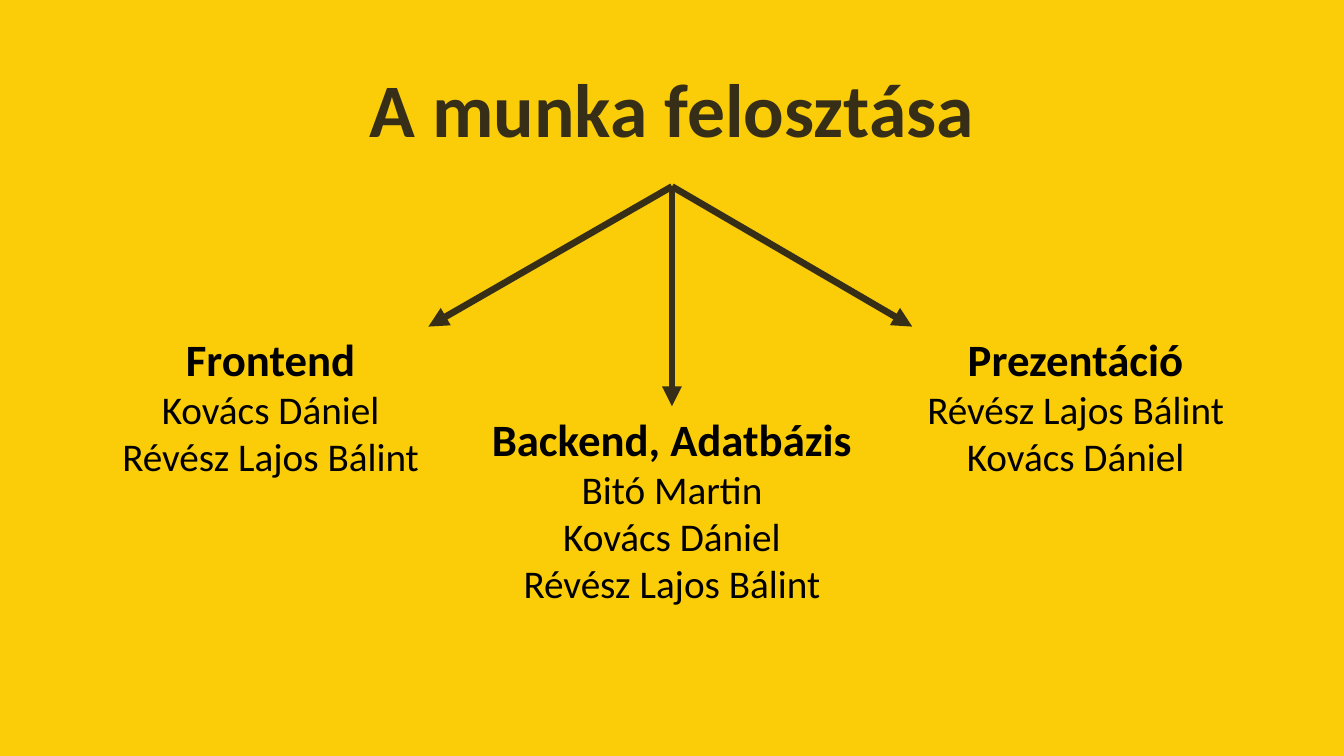
from lxml.etree import SubElement
from pptx import Presentation
from pptx.dml.color import RGBColor
from pptx.enum.shapes import MSO_CONNECTOR
from pptx.enum.text import MSO_ANCHOR, MSO_AUTO_SIZE, PP_ALIGN
from pptx.oxml.ns import qn
from pptx.util import Pt

COLORS = {"background": "FBCD08", "dark": "372E18", "text": "000000"}
FONT = "Calibri"
BOTTOM, TOP = 2, 0


def color(name):
    return RGBColor.from_string(COLORS[name])


def style_font(font, size, bold, color_name):
    font.name = FONT
    font.size = Pt(size)
    font.bold = bold
    font.color.rgb = color(color_name)


def set_title(page, text):
    title = page.shapes.title
    title.left, title.top, title.width, title.height = Pt(66), Pt(28.8), Pt(828), Pt(104.4)
    frame = title.text_frame
    frame.text = text
    frame.vertical_anchor = MSO_ANCHOR.MIDDLE
    para = frame.paragraphs[0]
    para.alignment = PP_ALIGN.CENTER
    para.line_spacing = 0.9
    style_font(para.font, 54, True, "dark")
    return title


def add_team(page, left, top, width, height, wrap, heading, members):
    box = page.shapes.add_textbox(Pt(left), Pt(top), Pt(width), Pt(height))
    frame = box.text_frame
    frame.word_wrap = wrap
    frame.auto_size = MSO_AUTO_SIZE.SHAPE_TO_FIT_TEXT
    para = frame.paragraphs[0]
    para.alignment = PP_ALIGN.CENTER
    span = para.add_run()
    span.text = heading
    style_font(span.font, 32, True, "text")
    para.add_line_break()
    span = para.add_run()
    span.text = members[0]
    style_font(span.font, 28, False, "text")
    for member in members[1:]:
        para = frame.add_paragraph()
        para.text = member
        para.alignment = PP_ALIGN.CENTER
        style_font(para.font, 28, False, "text")
    return box


def add_arrow(page, title, end_x, end_y):
    arrow = page.shapes.add_connector(
        MSO_CONNECTOR.STRAIGHT, Pt(480), Pt(133.2), Pt(end_x), Pt(end_y))
    arrow.begin_connect(title, BOTTOM)
    arrow.line.color.rgb = color("dark")
    arrow.line.width = Pt(4.75)
    SubElement(arrow.line._get_or_add_ln(), qn("a:tailEnd"), type="triangle")
    SubElement(arrow._element.spPr, qn("a:effectLst"))
    return arrow


def main():
    deck = Presentation()
    deck.slide_width, deck.slide_height = Pt(960), Pt(540)
    page = deck.slides.add_slide(deck.slide_layouts[5])
    page.background.fill.solid()
    page.background.fill.fore_color.rgb = color("background")

    title = set_title(page, "A munka felosztása")
    add_arrow(page, title, 306, 233.3)
    backend_arrow = add_arrow(page, title, 480, 290.2)
    add_arrow(page, title, 651.6, 233.3)

    add_team(page, 57.6, 233.3, 271.4, 113.8, True, "Frontend",
             ["Kovács Dániel", "Révész Lajos Bálint"])
    backend = add_team(page, 343.2, 290.2, 273.6, 147.6, False, "Backend, Adatbázis",
                       ["Bitó Martin", "Kovács Dániel", "Révész Lajos Bálint"])
    add_team(page, 653.8, 233.3, 229, 113.8, False, "Prezentáció",
             ["Révész Lajos Bálint", "Kovács Dániel"])
    backend_arrow.end_connect(backend, TOP)

    deck.save("out.pptx")


if __name__ == "__main__":
    main()
